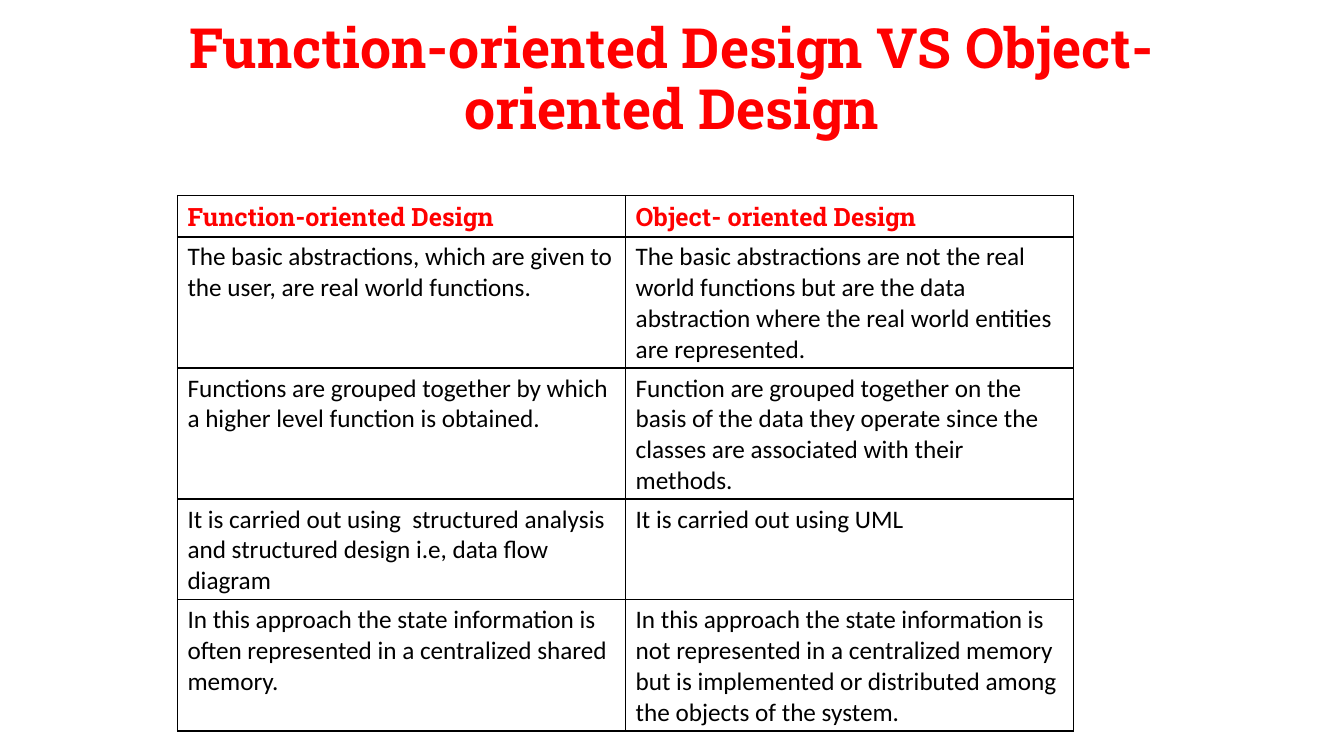
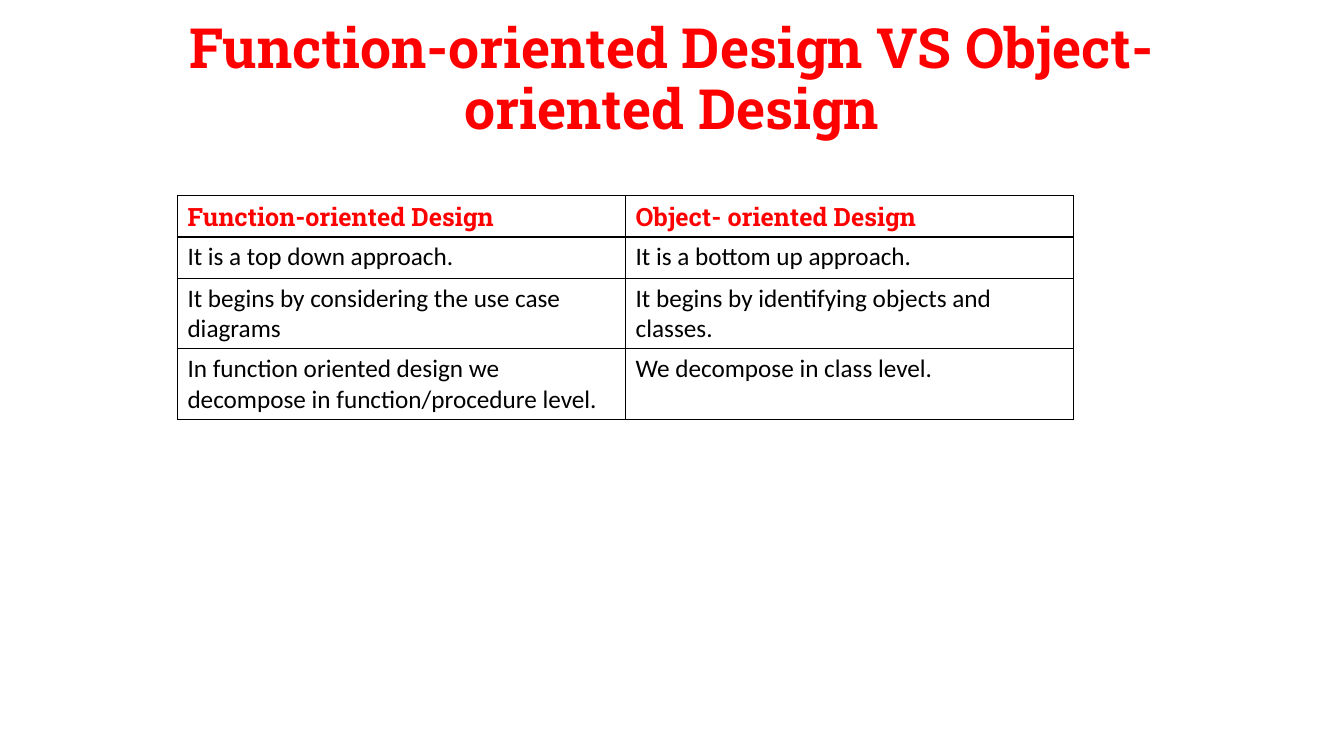
"""Build two slides comparing function-oriented and object-oriented design."""
from dataclasses import dataclass

from lxml.etree import SubElement
from pptx import Presentation
from pptx.dml.color import RGBColor
from pptx.enum.text import MSO_ANCHOR as Anchor, PP_ALIGN as Align
from pptx.oxml.ns import qn
from pptx.util import Inches, Pt


@dataclass(frozen=True)
class TextStyle:
    font: str
    size: float
    color: str
    bold: bool


@dataclass(frozen=True)
class Theme:
    title: TextStyle = TextStyle("Roboto Slab", 39.6, "FF0000", True)
    header: TextStyle = TextStyle("Roboto Slab", 18, "FF0000", True)
    body: TextStyle = TextStyle("Calibri", 18, "000000", False)
    cell_fill: str = "FFFFFF"
    border: str = "000000"
    thin: float = 1
    thick: float = 2


@dataclass(frozen=True)
class Comparison:
    function_oriented: str
    object_oriented: str


THEME = Theme()
TITLE_LINES = ("Function-oriented Design VS Object-", "oriented Design")
HEADER = Comparison("Function-oriented Design", "Object- oriented Design")
SLIDES = (
    (
        Comparison(
            "The basic abstractions, which are given to the user, are real world functions.",
            "The basic abstractions are not the real world functions but are the data "
            "abstraction where the real world entities are represented.",
        ),
        Comparison(
            "Functions are grouped together by which a higher level function is obtained.",
            "Function are grouped together on the basis of the data they operate since the "
            "classes are associated with their methods.",
        ),
        Comparison(
            "It is carried out using  structured analysis and structured design i.e, "
            "data flow diagram",
            "It is carried out using UML",
        ),
        Comparison(
            "In this approach the state information is often represented in a centralized "
            "shared memory.",
            "In this approach the state information is not represented in a centralized "
            "memory but is implemented or distributed among the objects of the system.",
        ),
    ),
    (
        Comparison("It is a top down approach.", "It is a bottom up approach."),
        Comparison(
            "It begins by considering the use case diagrams",
            "It begins by identifying objects and classes.",
        ),
        Comparison(
            "In function oriented design we decompose in function/procedure level.",
            "We decompose in class level.",
        ),
    ),
)


def style_paragraph(para, style: TextStyle) -> None:
    """Format every run of a paragraph."""
    for span in para.runs:
        span.font.name = style.font
        span.font.size = Pt(style.size)
        span.font.bold = style.bold
        span.font.color.rgb = RGBColor.from_string(style.color)


def add_title(page) -> None:
    """Add the centred two-line title."""
    box = page.shapes.add_textbox(Inches(0.98), Inches(0.18), Inches(11.37), Inches(1.24))
    frame = box.text_frame
    frame.word_wrap = True
    frame.vertical_anchor = Anchor.MIDDLE
    frame.margin_left = frame.margin_right = Inches(0.02)
    frame.margin_top = frame.margin_bottom = Inches(0.06)
    para = frame.paragraphs[0]
    para.alignment = Align.CENTER
    para.line_spacing = 0.92
    first, second = TITLE_LINES
    para.add_run().text = first
    para.add_line_break()
    para.add_run().text = second
    style_paragraph(para, THEME.title)


def set_borders(cell, top: float, bottom: float) -> None:
    """Draw the four borders of a cell, with widths in points."""
    widths = {"a:lnL": THEME.thin, "a:lnR": THEME.thin, "a:lnT": top, "a:lnB": bottom}
    properties = cell._tc.get_or_add_tcPr()
    for tag, width in widths.items():
        line = SubElement(properties, qn(tag), w=str(Pt(width)))
        fill = SubElement(line, qn("a:solidFill"))
        SubElement(fill, qn("a:srgbClr"), val=THEME.border)


def add_comparison_table(page, comparisons: tuple[Comparison, ...]) -> None:
    """Add a two-column table with a red header above a thick rule."""
    rows = (HEADER, *comparisons)
    row_height = Inches(0.41)
    table = page.shapes.add_table(
        len(rows), 2, Inches(1.76), Inches(1.94), Inches(8.89), row_height * len(rows)
    ).table
    table.horz_banding = False
    for index, row in enumerate(rows):
        table.rows[index].height = row_height
        style = THEME.header if index == 0 else THEME.body
        top = THEME.thick if index == 1 else THEME.thin
        bottom = THEME.thick if index == 0 else THEME.thin
        for column, text in enumerate((row.function_oriented, row.object_oriented)):
            cell = table.cell(index, column)
            set_borders(cell, top, bottom)
            cell.fill.solid()
            cell.fill.fore_color.rgb = RGBColor.from_string(THEME.cell_fill)
            cell.text_frame.text = text
            style_paragraph(cell.text_frame.paragraphs[0], style)


def main() -> None:
    """Build and save the deck."""
    deck = Presentation()
    deck.slide_width, deck.slide_height = Inches(13.33), Inches(7.5)
    blank = deck.slide_layouts[6]
    for comparisons in SLIDES:
        page = deck.slides.add_slide(blank)
        add_title(page)
        add_comparison_table(page, comparisons)
    deck.save("out.pptx")


if __name__ == "__main__":
    main()
